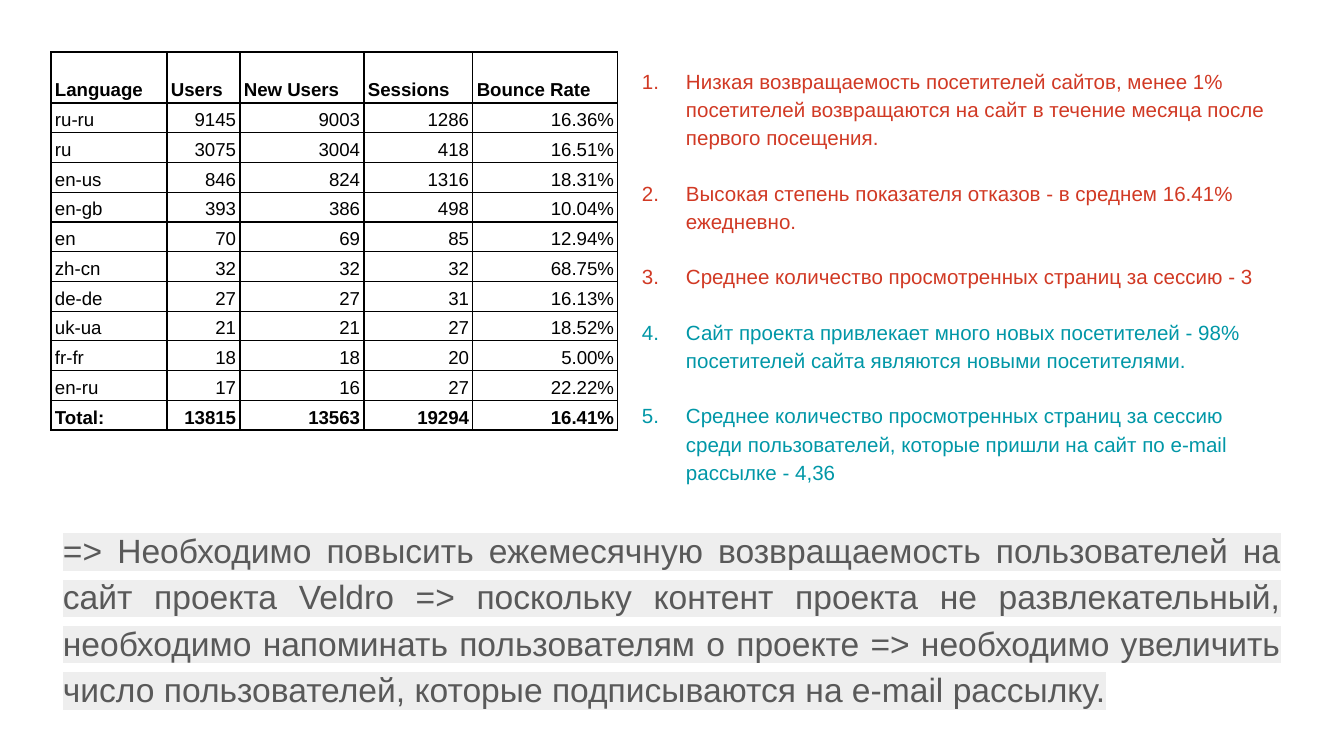
import dataclasses

import lxml.etree
import pptx
import pptx.dml.color
import pptx.enum.text
import pptx.oxml.ns
import pptx.util

ALIGN = pptx.enum.text.PP_ALIGN
ANCHOR = pptx.enum.text.MSO_ANCHOR
qn = pptx.oxml.ns.qn


@dataclasses.dataclass(frozen=True)
class Theme:
    font: str = "Arial"
    black: str = "000000"
    problem: str = "D13924"
    success: str = "0097A7"
    conclusion: str = "595959"
    highlight: str = "EEEEEE"
    table_size: int = 10
    list_size: int = 11
    conclusion_size: int = 18
    border_width: float = 0.75
    line_spacing: float = 1.15


THEME = Theme()
PX_PER_INCH = 134.4

COLUMN_WIDTHS = (116, 73, 124, 109, 145)
HEADER_HEIGHT = 51
BODY_HEIGHT = 325
TABLE_ROWS = (
    ("Language", "Users", "New Users", "Sessions", "Bounce Rate"),
    ("ru-ru", "9145", "9003", "1286", "16.36%"),
    ("ru", "3075", "3004", "418", "16.51%"),
    ("en-us", "846", "824", "1316", "18.31%"),
    ("en-gb", "393", "386", "498", "10.04%"),
    ("en", "70", "69", "85", "12.94%"),
    ("zh-cn", "32", "32", "32", "68.75%"),
    ("de-de", "27", "27", "31", "16.13%"),
    ("uk-ua", "21", "21", "27", "18.52%"),
    ("fr-fr", "18", "18", "20", "5.00%"),
    ("en-ru", "17", "16", "27", "22.22%"),
    ("Total:", "13815", "13563", "19294", "16.41%"),
)

FINDINGS = (
    ("Низкая возвращаемость посетителей сайтов, менее 1% посетителей "
     "возвращаются на сайт в течение месяца после первого посещения.", THEME.problem),
    ("Высокая степень показателя отказов - в среднем 16.41% ежедневно.", THEME.problem),
    ("Среднее количество просмотренных страниц за сессию - 3", THEME.problem),
    ("Сайт проекта привлекает много новых посетителей - 98% посетителей "
     "сайта являются новыми посетителями.", THEME.success),
    ("Среднее количество просмотренных страниц за сессию среди пользователей, "
     "которые пришли на сайт по e-mail рассылке - 4,36", THEME.success),
)

CONCLUSION = (
    "=> Необходимо повысить ежемесячную возвращаемость пользователей на сайт "
    "проекта Veldro => поскольку контент проекта не развлекательный, необходимо "
    "напоминать пользователям о проекте => необходимо увеличить число "
    "пользователей, которые подписываются на e-mail рассылку."
)


def px(length):
    return pptx.util.Emu(round(length * 914400 / PX_PER_INCH))


def format_font(font, size, color, bold=False):
    font.name = THEME.font
    font.size = pptx.util.Pt(size)
    font.bold = bold
    font.color.rgb = pptx.dml.color.RGBColor.from_string(color)


def add_color(parent, tag, color):
    element = lxml.etree.SubElement(parent, qn(tag))
    lxml.etree.SubElement(element, qn("a:srgbClr"), val=color)


def add_text_frame(slide, left, top, width, height):
    box = slide.shapes.add_textbox(px(left), px(top), px(width), px(height))
    frame = box.text_frame
    frame.word_wrap = True
    frame.margin_left = frame.margin_right = px(13)
    frame.margin_top = frame.margin_bottom = px(13)
    return frame


def set_borders(cell):
    properties = cell._tc.get_or_add_tcPr()
    for position, side in enumerate(("a:lnL", "a:lnR", "a:lnT", "a:lnB")):
        line = lxml.etree.Element(qn(side), w=str(pptx.util.Pt(THEME.border_width)))
        add_color(line, "a:solidFill", THEME.black)
        properties.insert(position, line)


def fill_cell(cell, text, alignment, bold):
    cell.fill.background()
    set_borders(cell)
    cell.vertical_anchor = ANCHOR.BOTTOM
    cell.margin_left = cell.margin_right = px(4)
    cell.margin_top = cell.margin_bottom = px(2)
    cell.text = text
    paragraph = cell.text_frame.paragraphs[0]
    paragraph.alignment = alignment
    paragraph.line_spacing = THEME.line_spacing
    format_font(paragraph.font, THEME.table_size, THEME.black, bold)


def add_language_table(slide, left, top):
    last_row = len(TABLE_ROWS) - 1
    frame = slide.shapes.add_table(
        len(TABLE_ROWS), len(COLUMN_WIDTHS), px(left), px(top),
        px(sum(COLUMN_WIDTHS)), px(HEADER_HEIGHT + BODY_HEIGHT))
    table = frame.table
    table.first_row = table.horz_banding = False
    for column, width in zip(table.columns, COLUMN_WIDTHS):
        column.width = px(width)
    for row_index, values in enumerate(TABLE_ROWS):
        is_header = row_index == 0
        table.rows[row_index].height = (
            px(HEADER_HEIGHT) if is_header else px(BODY_HEIGHT) // last_row)
        for column_index, text in enumerate(values):
            is_label = is_header or column_index == 0
            fill_cell(table.cell(row_index, column_index), text,
                      ALIGN.LEFT if is_label else ALIGN.RIGHT,
                      bold=row_index in (0, last_row))


def set_number(paragraph, color):
    properties = paragraph._p.get_or_add_pPr()
    properties.set("marL", str(px(67)))
    properties.set("indent", str(px(-44)))
    add_color(properties, "a:buClr", color)
    lxml.etree.SubElement(properties, qn("a:buAutoNum"), type="arabicPeriod")


def add_findings(slide, left, top, width, height):
    frame = add_text_frame(slide, left, top, width, height)
    for index, (text, color) in enumerate(FINDINGS):
        paragraph = frame.add_paragraph() if index else frame.paragraphs[0]
        paragraph.text = text
        paragraph.line_spacing = THEME.line_spacing
        paragraph.space_after = pptx.util.Pt(14.5)
        set_number(paragraph, color)
        format_font(paragraph.font, THEME.list_size, color)


def add_conclusion(slide, left, top, width, height):
    paragraph = add_text_frame(slide, left, top, width, height).paragraphs[0]
    paragraph.alignment = ALIGN.JUSTIFY
    paragraph.line_spacing = THEME.line_spacing
    paragraph.space_after = pptx.util.Pt(12)
    format_font(paragraph.font, THEME.conclusion_size, THEME.conclusion)
    run = paragraph.add_run()
    run.text = CONCLUSION
    add_color(run._r.get_or_add_rPr(), "a:highlight", THEME.highlight)


def main():
    presentation = pptx.Presentation()
    presentation.slide_width = px(1344)
    presentation.slide_height = px(756)
    blank_layout = presentation.slide_layouts[6]
    slide = presentation.slides.add_slide(blank_layout)

    # Numbered findings beside the visitor table
    add_findings(slide, 606, 52, 688, 418)
    add_language_table(slide, 51, 52)

    # Conclusion across the bottom
    add_conclusion(slide, 50, 511, 1244, 208)

    presentation.save("out.pptx")


if __name__ == "__main__":
    main()
